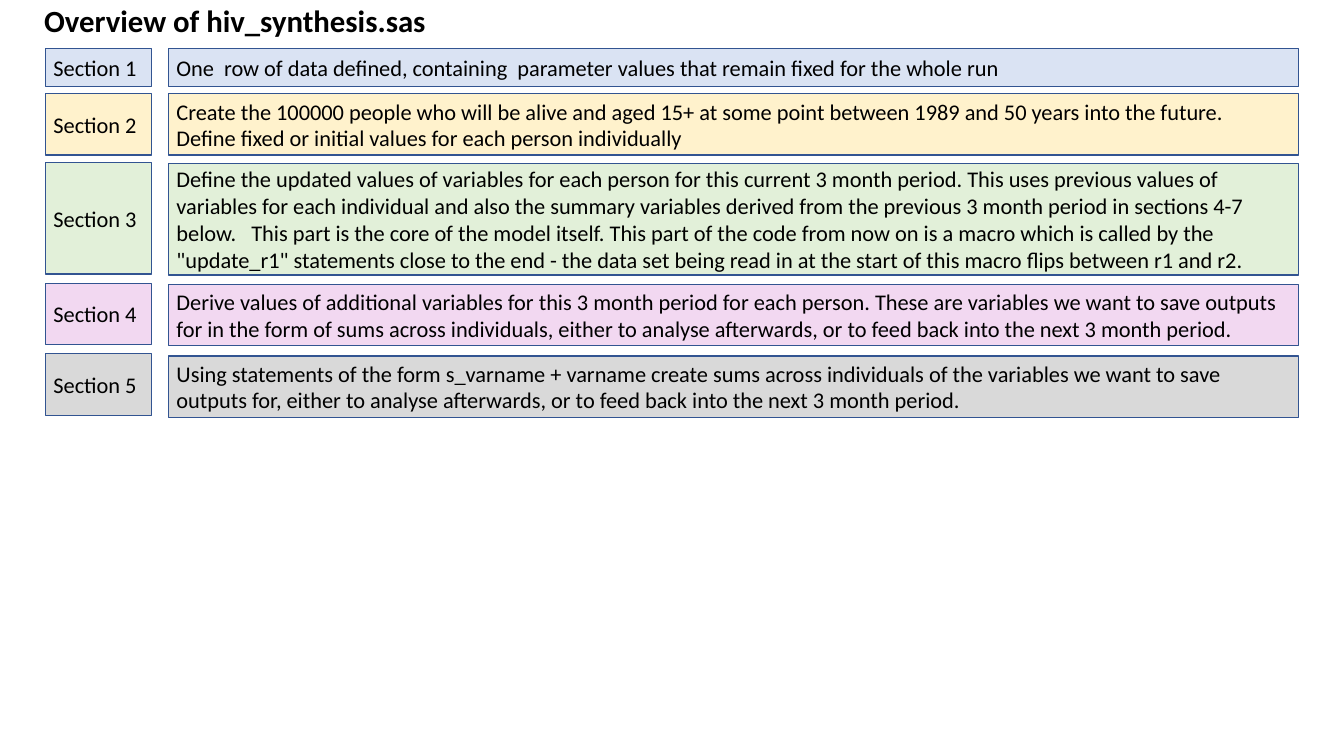
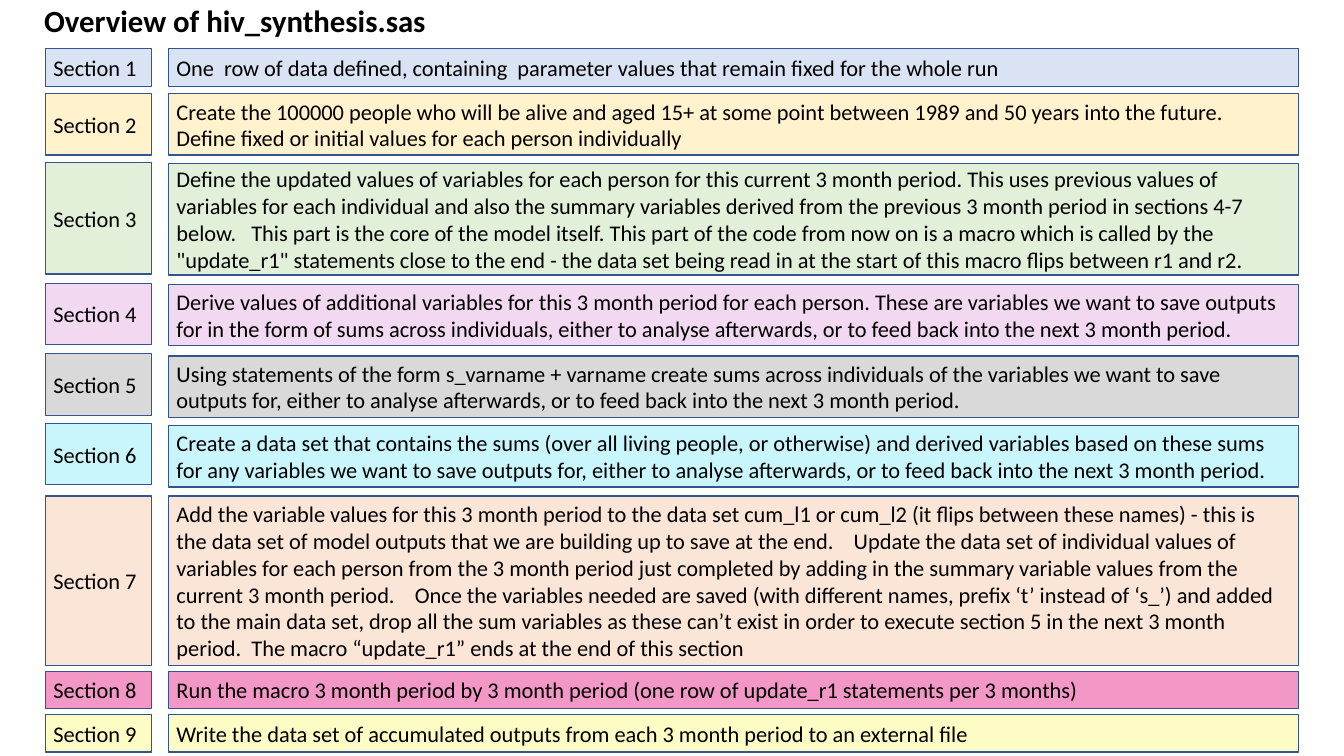
from dataclasses import dataclass

from pptx import Presentation
from pptx import util as u
from pptx.dml.color import RGBColor
from pptx.enum import shapes, text

BLACK = RGBColor(0x00, 0x00, 0x00)
OUTLINE = RGBColor(0x32, 0x54, 0x91)
BLUE = RGBColor(0xDA, 0xE3, 0xF3)
YELLOW = RGBColor(0xFF, 0xF2, 0xCC)
GREEN = RGBColor(0xE2, 0xF0, 0xD9)
LILAC = RGBColor(0xF2, 0xD8, 0xF1)
GREY = RGBColor(0xD9, 0xD9, 0xD9)
CYAN = RGBColor(0xC8, 0xF6, 0xFC)
PEACH = RGBColor(0xFB, 0xE5, 0xD6)
PINK = RGBColor(0xF3, 0x97, 0xC7)
CREAM = RGBColor(0xFD, 0xFC, 0xC4)

TITLE_FONT = {"name": "Calibri", "size": u.Pt(22), "bold": True}
BODY_FONT = {"name": "Calibri", "size": u.Pt(16)}
TITLE_FRAME = {"word_wrap": False, "auto_size": text.MSO_AUTO_SIZE.SHAPE_TO_FIT_TEXT}
BODY_FRAME = {
    "word_wrap": True,
    "vertical_anchor": text.MSO_ANCHOR.MIDDLE,
    "margin_left": u.Inches(0.08),
    "margin_right": u.Inches(0.08),
    "margin_top": u.Inches(0.04),
    "margin_bottom": u.Inches(0.04),
}

TITLE_BOX = (0.34, -0.03, 4.03, 0.47)
ROW_LEFT = 0.45
ROW_WIDTH = 12.43
LABEL_WIDTH = 1.05
COLUMN_GAP = 0.17


@dataclass
class Section:
    """One section of the program: its row, colour and description."""
    top: float
    height: float
    fill: RGBColor
    description: str
    label_rise: float = 0


SECTIONS = [
    Section(0.48, 0.38, BLUE,
            "One  row of data defined, containing  parameter values that remain fixed for the "
            "whole run"),
    Section(0.93, 0.61, YELLOW,
            "Create the 100000 people who will be alive and aged 15+ at some point between 1989 "
            "and 50 years into the future.   Define fixed or initial values for each person "
            "individually"),
    Section(1.62, 1.11, GREEN,
            "Define the updated values of variables for each person for this current 3 month "
            "period. This uses previous values of variables for each individual and also the "
            "summary variables derived from the previous 3 month period in sections 4-7 below.   "
            "This part is the core of the model itself. This part of the code from now on is a "
            "macro which is called by the \"update_r1\" statements close to the end - the data "
            "set being read in at the start of this macro flips between r1 and r2.", 0.01),
    Section(2.82, 0.61, LILAC,
            "Derive values of additional variables for this 3 month period for each person. "
            "These are variables we want to save outputs for in the form of sums across "
            "individuals, either to analyse afterwards, or to feed back into the next 3 month "
            "period.", 0.01),
    Section(3.53, 0.61, GREY,
            "Using statements of the form s_varname + varname create sums across individuals of "
            "the variables we want to save outputs for, either to analyse afterwards, or to feed "
            "back into the next 3 month period.", 0.02),
    Section(4.22, 0.61, CYAN,
            "Create a data set that contains the sums (over all living people, or otherwise) and "
            "derived variables based on these sums for any variables we want to save outputs "
            "for, either to analyse afterwards, or to feed back into the next 3 month period.",
            0.02),
    Section(4.92, 1.68, PEACH,
            "Add the variable values for this 3 month period to the data set cum_l1 or cum_l2 "
            "(it flips between these names) - this is the data set of model outputs that we are "
            "building up to save at the end.    Update the data set of individual values of "
            "variables for each person from the 3 month period just completed by adding in the "
            "summary variable values from the current 3 month period.    Once the variables "
            "needed are saved (with different names, prefix ‘t’ instead of ‘s_’) and added to "
            "the main data set, drop all the sum variables as these can’t exist in order to "
            "execute section 5 in the next 3 month period.  The macro “update_r1” ends at the "
            "end of this section"),
    Section(6.66, 0.37, PINK,
            "Run the macro 3 month period by 3 month period (one row of update_r1 statements per "
            "3 months)"),
    Section(7.09, 0.37, CREAM,
            "Write the data set of accumulated outputs from each 3 month period to an external "
            "file"),
]


def apply_format(target, values):
    """Set each named attribute on the target."""
    for name, value in values.items():
        setattr(target, name, value)


def write_text(frame, wording, frame_format, font_format):
    """Fill a text frame with one left-aligned paragraph."""
    apply_format(frame, frame_format)
    paragraph = frame.paragraphs[0]
    paragraph.alignment = text.PP_ALIGN.LEFT
    run = paragraph.add_run()
    run.text = wording
    apply_format(run.font, font_format)
    run.font.color.rgb = BLACK


def add_title(slide, box):
    """Place the heading in the given box."""
    heading = slide.shapes.add_textbox(*map(u.Inches, box))
    write_text(heading.text_frame, "Overview of hiv_synthesis.sas", TITLE_FRAME, TITLE_FONT)


def add_panel(slide, box, fill, wording):
    """Place an outlined, filled rectangle with text."""
    panel = slide.shapes.add_shape(shapes.MSO_SHAPE.RECTANGLE, *map(u.Inches, box))
    panel.shadow.inherit = False
    panel.fill.solid()
    panel.fill.fore_color.rgb = fill
    panel.line.color.rgb = OUTLINE
    panel.line.width = u.Pt(1)
    write_text(panel.text_frame, wording, BODY_FRAME, BODY_FONT)


def add_section_row(slide, box, number, section):
    """Place a section's description and its label within the row box."""
    left, top, width, height = box
    offset = LABEL_WIDTH + COLUMN_GAP
    add_panel(slide, (left + offset, top, width - offset, height),
              section.fill, section.description)
    add_panel(slide, (left, top - section.label_rise, LABEL_WIDTH, height),
              section.fill, f"Section {number}")


def add_overview_slide(deck, sections):
    """Add an overview slide listing the given sections."""
    slide = deck.slides.add_slide(deck.slide_layouts[6])
    for number, section in enumerate(sections, 1):
        row_box = (ROW_LEFT, section.top, ROW_WIDTH, section.height)
        add_section_row(slide, row_box, number, section)
    add_title(slide, TITLE_BOX)


def main():
    """Build and save the presentation."""
    deck = Presentation()
    deck.slide_width = u.Inches(13.33)
    deck.slide_height = u.Inches(7.5)
    for shown in (5, len(SECTIONS)):
        add_overview_slide(deck, SECTIONS[:shown])
    deck.save("out.pptx")


if __name__ == "__main__":
    main()
